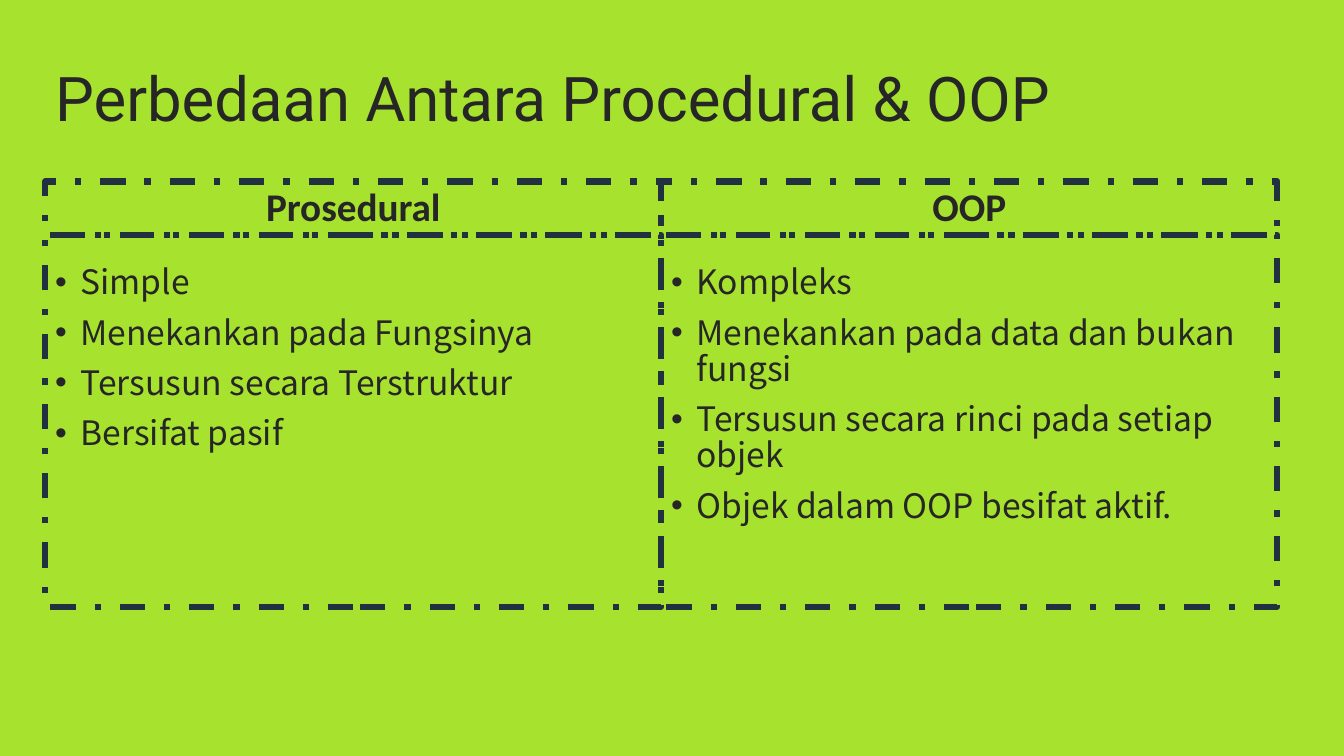
"""Build a slide comparing procedural and object-oriented programming."""
from lxml import etree
from pptx import Presentation
from pptx.dml import color
from pptx.enum import dml, shapes, text
from pptx.oxml import ns
from pptx.util import Pt

COLORS = {"background": "A7E22E", "ink": "262626", "border": "223140"}
HEADER_HEIGHT = 38.2
COMPARISON = [
    ("Prosedural", [
        "Simple",
        "Menekankan pada Fungsinya",
        "Tersusun secara Terstruktur",
        "Bersifat pasif",
    ]),
    ("OOP", [
        "Kompleks",
        "Menekankan pada data dan bukan fungsi",
        "Tersusun secara rinci pada setiap objek",
        "Objek dalam OOP besifat aktif.",
    ]),
]


def rgb(name):
    """Return the named palette colour."""
    return color.RGBColor.from_string(COLORS[name])


def style(paragraph, font_name, size, bold=False):
    """Set the font and line spacing of a paragraph."""
    paragraph.line_spacing = 0.9
    paragraph.font.name = font_name
    paragraph.font.size = Pt(size)
    paragraph.font.bold = bold
    paragraph.font.color.rgb = rgb("ink")


def add_bullet(paragraph):
    """Give a paragraph a hanging round bullet."""
    properties = paragraph._p.get_or_add_pPr()
    properties.set("marL", str(Pt(18)))
    properties.set("indent", str(-Pt(18)))
    etree.SubElement(properties, ns.qn("a:buFont")).set("typeface", "Arial")
    etree.SubElement(properties, ns.qn("a:buChar")).set("char", "•")


def add_title(slide, left, top, width, height):
    """Place the slide title in the given box."""
    title = slide.shapes.add_textbox(Pt(left), Pt(top), Pt(width), Pt(height))
    frame = title.text_frame
    frame.word_wrap = True
    frame.vertical_anchor = text.MSO_ANCHOR.MIDDLE
    heading = frame.paragraphs[0]
    heading.text = "Perbedaan Antara Procedural & OOP"
    style(heading, "Roboto", 44)


def add_cell(slide, left, top, width, height, anchor):
    """Draw a dash-dotted box and return its text frame."""
    cell = slide.shapes.add_shape(
        shapes.MSO_SHAPE.RECTANGLE, Pt(left), Pt(top), Pt(width), Pt(height))
    cell.shadow.inherit = False
    cell.fill.background()
    cell.line.color.rgb = rgb("border")
    cell.line.width = Pt(4.5)
    cell.line.dash_style = dml.MSO_LINE.DASH_DOT
    frame = cell.text_frame
    frame.word_wrap = True
    frame.vertical_anchor = anchor
    return frame


def add_column(slide, left, top, width, height, name, traits):
    """Place a heading cell above a bulleted list of traits."""
    header = add_cell(slide, left, top, width, HEADER_HEIGHT, text.MSO_ANCHOR.BOTTOM)
    heading = header.paragraphs[0]
    heading.text = name
    heading.alignment = text.PP_ALIGN.CENTER
    style(heading, "Calibri", 28, bold=True)

    body = add_cell(slide, left, top + HEADER_HEIGHT, width,
                    height - HEADER_HEIGHT, text.MSO_ANCHOR.TOP)
    body.margin_top = Pt(22)
    for index, trait in enumerate(traits):
        item = body.add_paragraph() if index else body.paragraphs[0]
        item.text = trait
        item.alignment = text.PP_ALIGN.LEFT
        add_bullet(item)
        item.space_before = Pt(10 if index else 0)
        style(item, "Noto Sans CJK SC", 24)


def add_comparison(slide, left, top, width, height):
    """Split the given box into equal columns, one per paradigm."""
    column_width = width / len(COMPARISON)
    for index, (name, traits) in enumerate(COMPARISON):
        add_column(slide, left + index * column_width, top,
                   column_width, height, name, traits)


def main():
    """Build and save the presentation."""
    deck = Presentation()
    deck.slide_width, deck.slide_height = Pt(960), Pt(540)
    slide = deck.slides.add_slide(deck.slide_layouts[6])
    slide.background.fill.solid()
    slide.background.fill.fore_color.rgb = rgb("background")
    add_title(slide, 32.4, 29.5, 895.7, 86.4)
    add_comparison(slide, 32.4, 129.6, 880, 303.8)
    deck.save("out.pptx")


if __name__ == "__main__":
    main()
